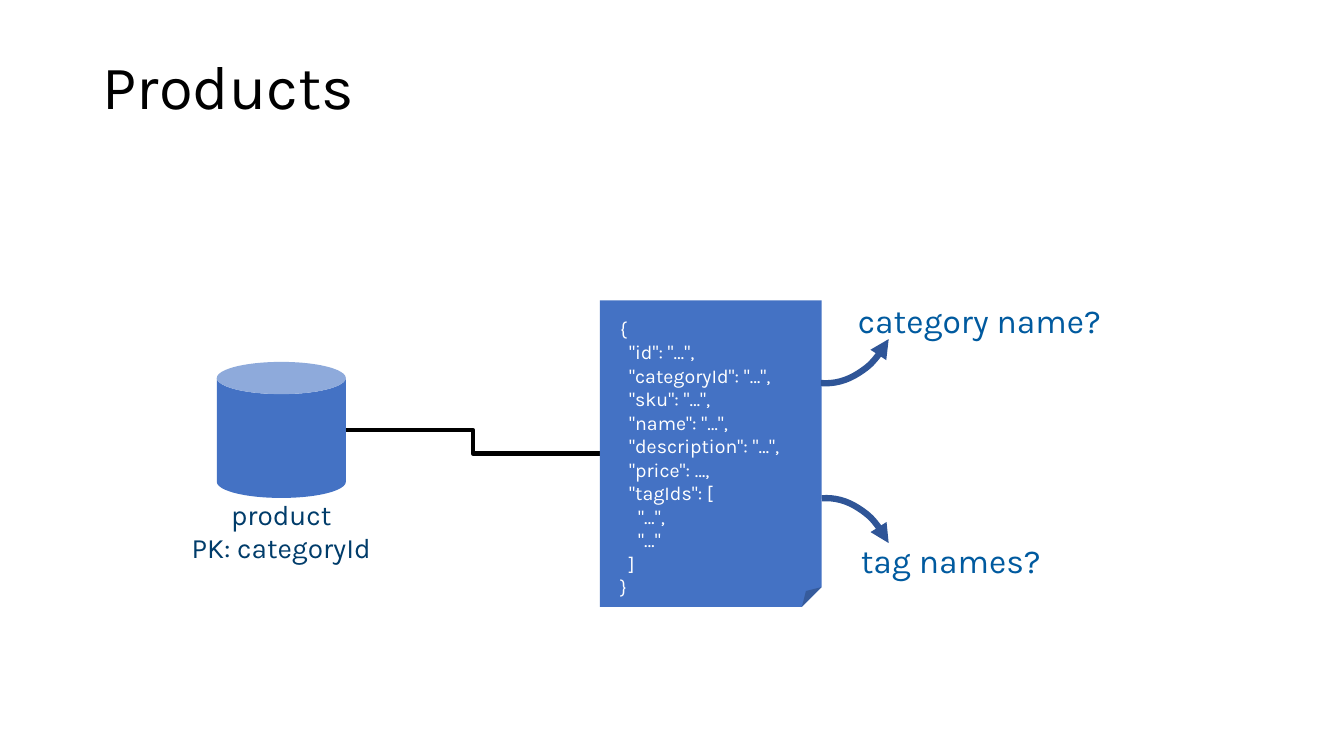
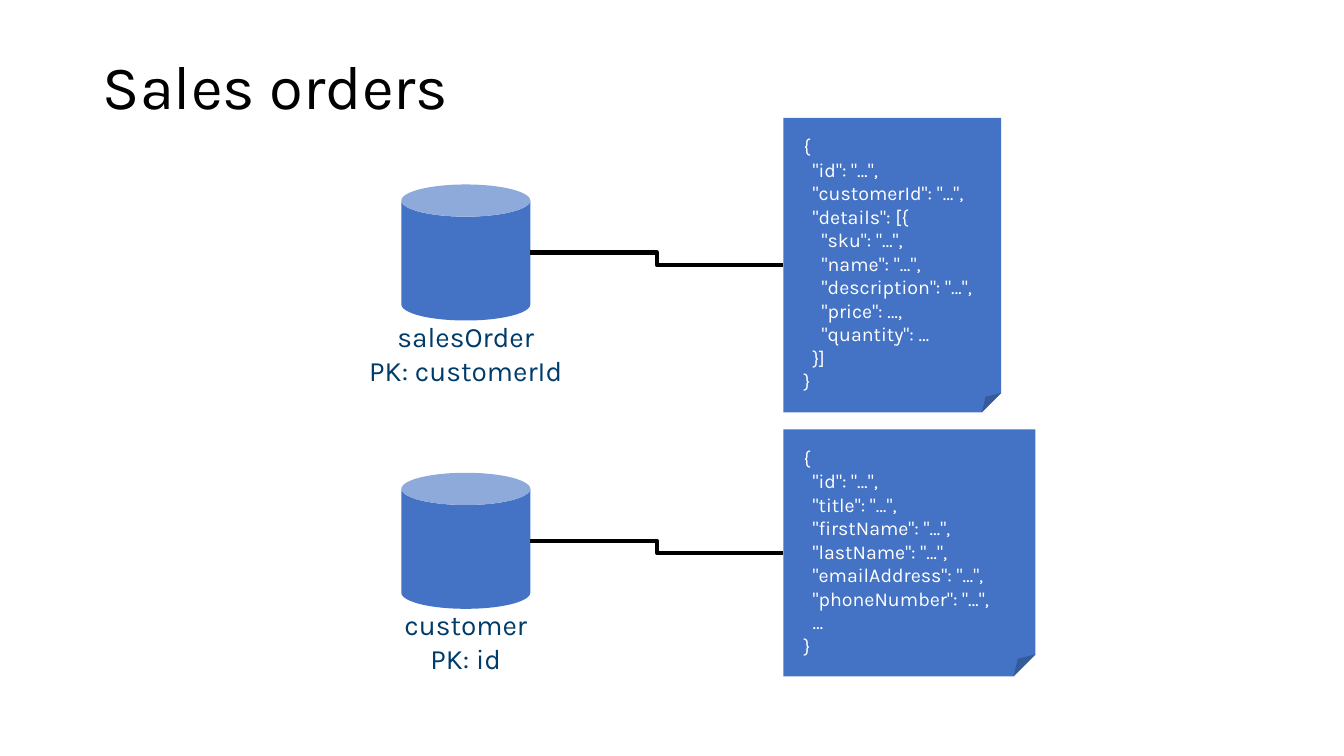
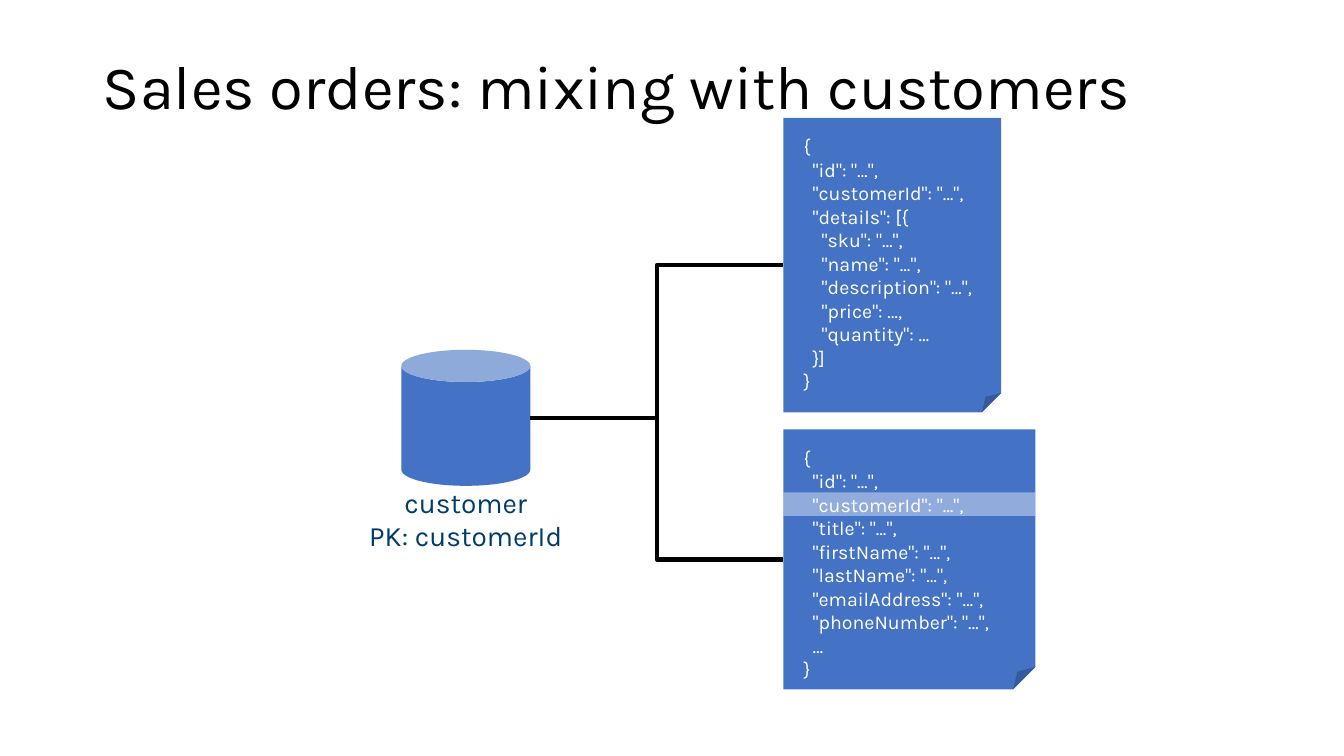
"""Builds three slides on product, sales order and customer containers."""
from lxml import etree
from pptx import Presentation
from pptx.dml.color import RGBColor
from pptx.enum.shapes import MSO_CONNECTOR, MSO_SHAPE
from pptx.enum.text import MSO_ANCHOR, MSO_AUTO_SIZE, PP_ALIGN
from pptx.oxml.ns import qn
from pptx.util import Inches, Pt

FONT = "Karla"
COLORS = {
    "title": "000000", "shape": "4472C4", "json": "FFFFFF", "label": "003C6A",
    "question": "005A9F", "link": "000000", "arrow": "2F5597", "highlight": "FFFFFF",
}
CONTAINER_WIDTH, CONTAINER_HEIGHT = 1.28, 1.35
JSON_INSETS = (0.2, 0.16, 0.2, 0.16)
JSON_INDENT, JSON_LINE = 0.09, 0.233

PRODUCT_JSON = [
    (0, '{'), (1, '"id": "…",'), (1, '"categoryId": "…",'), (1, '"sku": "…",'),
    (1, '"name": "…",'), (1, '"description": "…",'), (1, '"price": …,'),
    (1, '"tagIds": ['), (2, '"…",'), (2, '"…"'), (1, ']'), (0, '}'),
]
ORDER_JSON = [
    (0, '{'), (1, '"id": "…",'), (1, '"customerId": "…",'), (1, '"details": [{'),
    (2, '"sku": "…",'), (2, '"name": "…",'), (2, '"description": "…",'),
    (2, '"price": …,'), (2, '"quantity": …'), (1, '}]'), (0, '}'),
]
CUSTOMER_JSON = [
    (0, '{'), (1, '"id": "…",'), (1, '"title": "…",'), (1, '"firstName": "…",'),
    (1, '"lastName": "…",'), (1, '"emailAddress": "…",'),
    (1, '"phoneNumber": "…",'), (1, '…'), (0, '}'),
]
MIXED_JSON = CUSTOMER_JSON[:2] + [(1, '"customerId": "…",')] + CUSTOMER_JSON[2:]

ORDER_DOCUMENT = {"box": (7.77, 1.17, 2.16, 2.92), "json": ORDER_JSON}
SLIDES = [
    {
        "title": "Products",
        "groups": [{
            "at": (2.15, 3.59), "label": ["product", "PK: categoryId"],
            "documents": [{"box": (5.95, 2.98, 2.2, 3.04), "json": PRODUCT_JSON}],
        }],
        "questions": [
            {"text": "category name?", "box": (8.3, 2.98, 2.83, 0.4),
             "arc": (7.25, 2.1, 1.96, 1.45), "rotation": 95.2, "flip": False},
            {"text": "tag names?", "box": (8.33, 5.36, 2.2, 0.4),
             "arc": (7.26, 5.21, 1.96, 1.42), "rotation": 264.7, "flip": True},
        ],
    },
    {
        "title": "Sales orders",
        "groups": [
            {"at": (3.98, 1.83), "label": ["salesOrder", "PK: customerId"],
             "documents": [ORDER_DOCUMENT]},
            {"at": (3.98, 4.69), "label": ["customer", "PK: id"],
             "documents": [{"box": (7.77, 4.26, 2.5, 2.45), "json": CUSTOMER_JSON}]},
        ],
    },
    {
        "title": "Sales orders: mixing with customers",
        "groups": [{
            "at": (3.98, 3.47), "label": ["customer", "PK: customerId"],
            "documents": [
                ORDER_DOCUMENT,
                {"box": (7.77, 4.26, 2.5, 2.58), "json": MIXED_JSON, "highlight": 2},
            ],
        }],
    },
]


def color(name):
    return RGBColor.from_string(COLORS[name])


def inches(values):
    return [Inches(value) for value in values]


def write(frame, lines, size, ink, align=PP_ALIGN.LEFT, anchor=MSO_ANCHOR.TOP,
          insets=(0, 0, 0, 0), wrap=True):
    frame.word_wrap = wrap
    frame.vertical_anchor = anchor
    (frame.margin_left, frame.margin_top,
     frame.margin_right, frame.margin_bottom) = inches(insets)
    for index, (level, text) in enumerate(lines):
        paragraph = frame.add_paragraph() if index else frame.paragraphs[0]
        paragraph.alignment = align
        if level:
            properties = paragraph._p.get_or_add_pPr()
            properties.set("marL", str(Inches(JSON_INDENT * level)))
            properties.set("indent", "0")
        run = paragraph.add_run()
        run.text = text
        run.font.name = FONT
        run.font.size = Pt(size)
        run.font.color.rgb = color(ink)


def add_block(slide, preset, box, fill="shape"):
    block = slide.shapes.add_shape(preset, *inches(box))
    block.shadow.inherit = False
    block.fill.solid()
    block.fill.fore_color.rgb = color(fill)
    block.line.fill.background()
    return block


def set_guides(shape, **guides):
    values = shape._element.spPr.find(qn("a:prstGeom")).find(qn("a:avLst"))
    for guide in list(values):
        values.remove(guide)
    for name, value in guides.items():
        etree.SubElement(values, qn("a:gd"), name=name, fmla=f"val {value}")


def add_title(slide, text):
    title = slide.shapes.title
    title.left, title.top, title.width, title.height = inches((0.92, 0.4, 10.53, 0.98))
    write(title.text_frame, [(0, text)], 44, "title", anchor=MSO_ANCHOR.MIDDLE,
          insets=(0.1, 0.05, 0.1, 0.05))
    title.text_frame.auto_size = MSO_AUTO_SIZE.NONE
    title.text_frame.paragraphs[0].line_spacing = 0.9


def add_container(slide, at, label):
    container = add_block(slide, MSO_SHAPE.CAN, (*at, CONTAINER_WIDTH, CONTAINER_HEIGHT))
    write(container.text_frame, [(0, line) for line in label], 20, "label",
          PP_ALIGN.CENTER, MSO_ANCHOR.MIDDLE, (0, 2, 0, 0.16), wrap=False)


def add_document(slide, box, json, highlight=None):
    document = add_block(slide, MSO_SHAPE.FOLDED_CORNER, box)
    set_guides(document, adj=8900)
    write(document.text_frame, json, 14, "json", insets=JSON_INSETS)
    if highlight is not None:
        left, top, width, _ = box
        row_top = top + JSON_INSETS[1] + highlight * JSON_LINE
        band = add_block(slide, MSO_SHAPE.RECTANGLE, (left, row_top, width, JSON_LINE),
                         "highlight")
        tint = next(band._element.spPr.iter(qn("a:srgbClr")))
        etree.SubElement(tint, qn("a:alpha")).set("val", "41000")


def add_link(slide, at, box):
    start = (at[0] + CONTAINER_WIDTH, at[1] + CONTAINER_HEIGHT / 2)
    end = (box[0], box[1] + box[3] / 2)
    link = slide.shapes.add_connector(MSO_CONNECTOR.ELBOW, *inches(start + end))
    link.line.color.rgb = color("link")
    link.line.width = Pt(3)
    etree.SubElement(link._element.spPr, qn("a:effectLst"))


def add_question(slide, text, box, arc, rotation, flip):
    arrow = slide.shapes.add_shape(MSO_SHAPE.ARC, *inches(arc))
    arrow.shadow.inherit = False
    arrow.fill.background()
    arrow.line.color.rgb = color("arrow")
    arrow.line.width = Pt(4.5)
    set_guides(arrow, adj1=18453600, adj2=0)
    arrow.rotation = rotation
    if flip:
        arrow._element.spPr.find(qn("a:xfrm")).set("flipV", "1")
    outline = arrow._element.spPr.find(qn("a:ln"))
    etree.SubElement(outline, qn("a:headEnd")).set("type", "triangle")
    question = slide.shapes.add_textbox(*inches(box))
    write(question.text_frame, [(0, text)], 24, "question", PP_ALIGN.CENTER)


def main():
    deck = Presentation()
    deck.slide_width, deck.slide_height = inches((13.33, 7.5))
    for content in SLIDES:
        slide = deck.slides.add_slide(deck.slide_layouts[5])
        add_title(slide, content["title"])
        for group in content["groups"]:
            add_container(slide, group["at"], group["label"])
            for document in group["documents"]:
                add_link(slide, group["at"], document["box"])
                add_document(slide, **document)
        for question in content.get("questions", []):
            add_question(slide, **question)
    deck.save("out.pptx")


if __name__ == "__main__":
    main()
